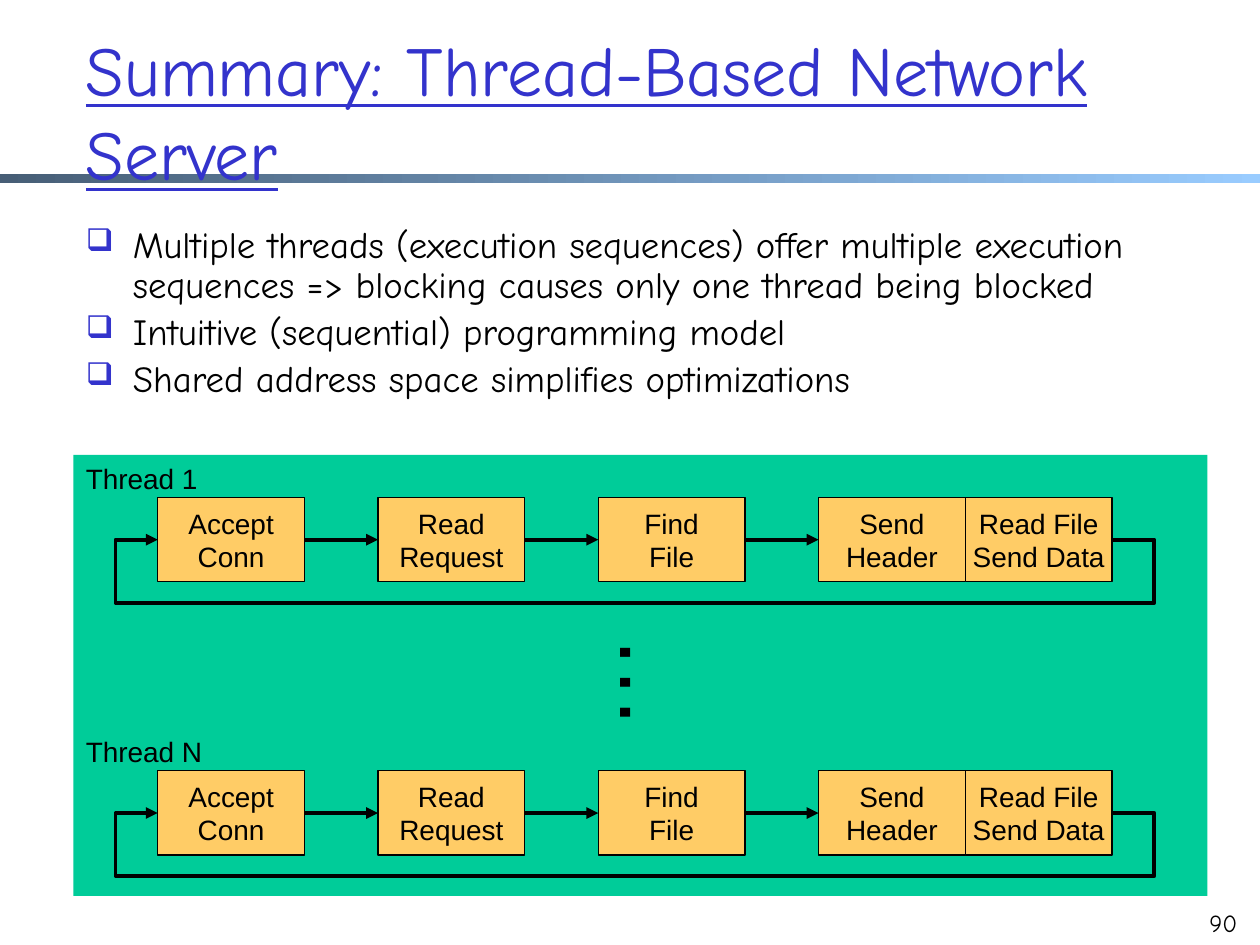
from lxml.etree import SubElement
from pptx import Presentation
from pptx.dml.color import RGBColor
from pptx.enum.shapes import MSO_CONNECTOR, MSO_SHAPE
from pptx.enum.text import MSO_ANCHOR, MSO_AUTO_SIZE, PP_ALIGN
from pptx.oxml.ns import qn
from pptx.util import Cm, Pt


def color(hex_value):
    return RGBColor.from_string(hex_value)


class SlideBuilder:
    heading_font = "Comic Neue"
    diagram_font = "Arial"
    ink = "000000"
    accent = "3333CC"
    box_fill = "FFCC66"
    panel_fill = "00CC99"

    def __init__(self, slide):
        self.slide = slide

    def style(self, paragraph, size, font_name, hex_value=ink):
        paragraph.font.size = Pt(size)
        paragraph.font.name = font_name
        paragraph.font.color.rgb = color(hex_value)

    def rectangle(self, left, top, width, height):
        shape = self.slide.shapes.add_shape(
            MSO_SHAPE.RECTANGLE, Cm(left), Cm(top), Cm(width), Cm(height))
        shape.shadow.inherit = False
        shape.line.fill.background()
        return shape

    def gradient_bar(self, left, top, width, height, colors):
        fill = self.rectangle(left, top, width, height).fill
        fill.gradient()
        fill.gradient_angle = 0
        for stop, hex_value in zip(fill.gradient_stops, colors):
            stop.color.rgb = color(hex_value)

    def panel(self, left, top, width, height):
        fill = self.rectangle(left, top, width, height).fill
        fill.solid()
        fill.fore_color.rgb = color(self.panel_fill)

    def text(self, left, top, width, height, content, size, font_name,
             hex_value=ink, anchor=MSO_ANCHOR.TOP, wrap=True):
        shape = self.slide.shapes.add_textbox(
            Cm(left), Cm(top), Cm(width), Cm(height))
        frame = shape.text_frame
        frame.word_wrap = wrap
        frame.auto_size = (MSO_AUTO_SIZE.NONE if wrap
                           else MSO_AUTO_SIZE.SHAPE_TO_FIT_TEXT)
        frame.vertical_anchor = anchor
        frame.text = content
        for paragraph in frame.paragraphs:
            self.style(paragraph, size, font_name, hex_value)
        return shape

    def title(self, left, top, width, height, content):
        shape = self.text(left, top, width, height, content, 40,
                          self.heading_font, self.accent, MSO_ANCHOR.MIDDLE)
        shape.text_frame.paragraphs[0].font.underline = True

    def bullets(self, left, top, width, height, items):
        shape = self.slide.shapes.add_textbox(
            Cm(left), Cm(top), Cm(width), Cm(height))
        frame = shape.text_frame
        frame.word_wrap = True
        frame.text = "\n".join(items)
        for index, paragraph in enumerate(frame.paragraphs):
            properties = paragraph._p.get_or_add_pPr()
            properties.set("marL", str(Cm(0.95)))
            properties.set("indent", str(-Cm(0.95)))
            bullet_color = SubElement(properties, qn("a:buClr"))
            SubElement(bullet_color, qn("a:srgbClr"), val=self.accent)
            SubElement(properties, qn("a:buSzPct"), val="85000")
            SubElement(properties, qn("a:buChar"), char="❑")
            paragraph.line_spacing = 0.9
            paragraph.space_before = Pt(4.2 if index else 0)
            self.style(paragraph, 21, self.heading_font)

    def step(self, left, top, width, height, label):
        shape = self.rectangle(left, top, width, height)
        shape.fill.solid()
        shape.fill.fore_color.rgb = color(self.box_fill)
        shape.line.color.rgb = color(self.ink)
        shape.line.width = Pt(0.75)
        frame = shape.text_frame
        frame.word_wrap = False
        frame.vertical_anchor = MSO_ANCHOR.MIDDLE
        frame.text = label
        for paragraph in frame.paragraphs:
            paragraph.alignment = PP_ALIGN.CENTER
            self.style(paragraph, 16, self.diagram_font)
        return shape

    def arrow_line(self, line):
        line.color.rgb = color(self.ink)
        line.width = Pt(2.25)
        SubElement(line._get_or_add_ln(), qn("a:tailEnd"), type="triangle")

    def arrow(self, source, target):
        connector = self.slide.shapes.add_connector(
            MSO_CONNECTOR.STRAIGHT, 0, 0, 0, 0)
        connector.begin_connect(source, 3)
        connector.end_connect(target, 1)
        self.arrow_line(connector.line)
        SubElement(connector._element.spPr, qn("a:effectLst"))

    def loop(self, points):
        start, *rest = [(Cm(x), Cm(y)) for x, y in points]
        builder = self.slide.shapes.build_freeform(*start)
        builder.add_line_segments(rest, close=False)
        shape = builder.convert_to_shape()
        shape.shadow.inherit = False
        shape.fill.background()
        self.arrow_line(shape.line)

    def thread(self, top, name):
        width, height, first, pitch = 2.96, 1.7, 3.18, 4.44
        labels = ["Accept\nConn", "Read\nRequest", "Find\nFile", "Send\nHeader"]
        box_top = top + 0.86
        steps = [self.step(first + index * pitch, box_top, width, height, label)
                 for index, label in enumerate(labels)]
        last = first + 3 * pitch + width
        self.step(last, box_top, width, height, "Read File\nSend Data")
        for source, target in zip(steps, steps[1:]):
            self.arrow(source, target)
        middle = box_top + height / 2
        bottom = middle + 1.27
        right, margin = last + width, 0.85
        self.loop([(right, middle), (right + margin, middle),
                   (right + margin, bottom), (first - margin, bottom),
                   (first - margin, middle), (first, middle)])
        self.text(1.48, top, 3, 0.94, name, 16, self.diagram_font, wrap=False)


def main():
    presentation = Presentation()
    presentation.slide_width = Cm(25.4)
    presentation.slide_height = Cm(19.05)
    slide = presentation.slides.add_slide(presentation.slide_layouts[6])
    builder = SlideBuilder(slide)

    builder.gradient_bar(0, 3.5, 25.4, 0.2, ["475E76", "99CCFF"])
    builder.title(1.48, 0.64, 21.59, 3.18, "Summary: Thread-Based Network Server")
    builder.bullets(1.48, 4.45, 21.59, 12.9, [
        "Multiple threads (execution sequences) offer multiple execution "
        "sequences => blocking causes only one thread being blocked",
        "Intuitive (sequential) programming model",
        "Shared address space simplifies optimizations",
    ])
    builder.text(24.13, 17.75, 1.27, 1.27, "90", 14, builder.heading_font,
                 anchor=MSO_ANCHOR.BOTTOM)

    builder.panel(1.48, 9.17, 22.86, 8.89)
    for top, name in [(9.17, "Thread 1"), (14.68, "Thread N")]:
        builder.thread(top, name)
    ellipsis = builder.text(12.07, 12.5, 2.41, 2.54, "…", 54,
                            builder.diagram_font, wrap=False)
    ellipsis.rotation = 90

    presentation.save("out.pptx")


if __name__ == "__main__":
    main()
